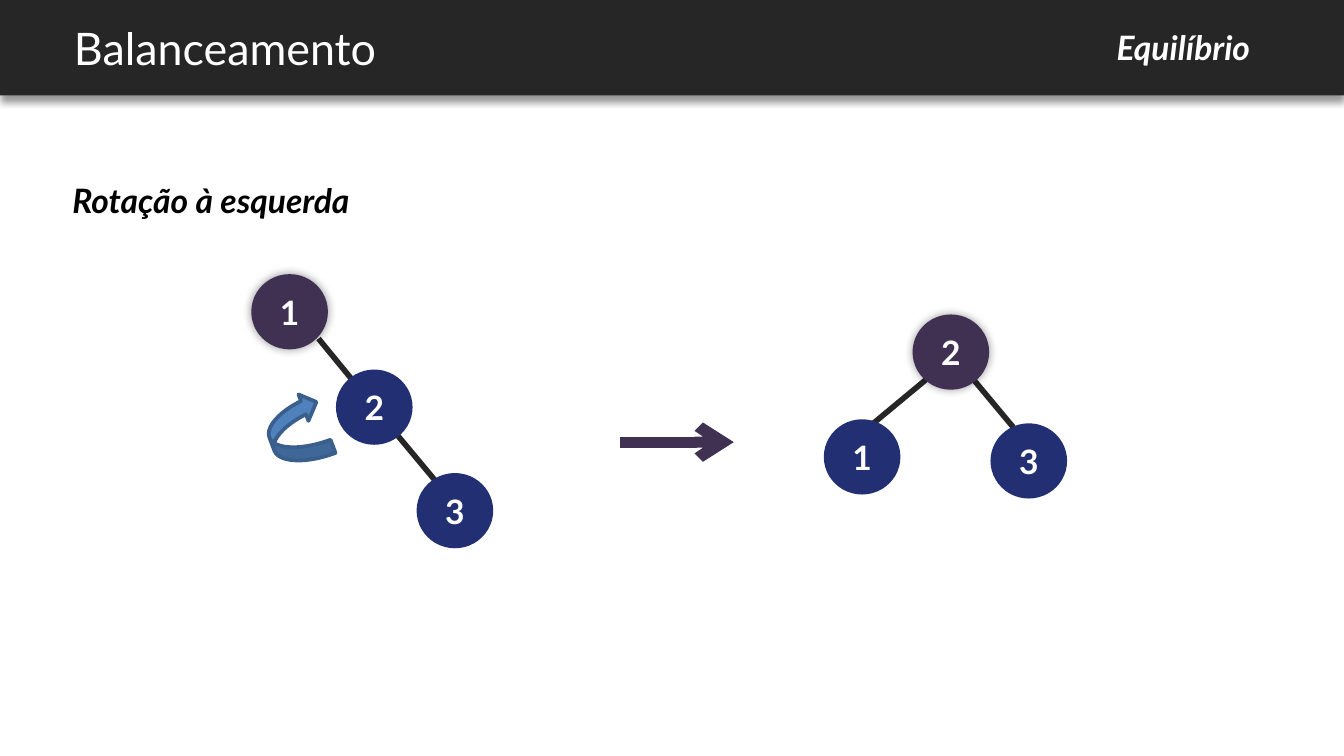
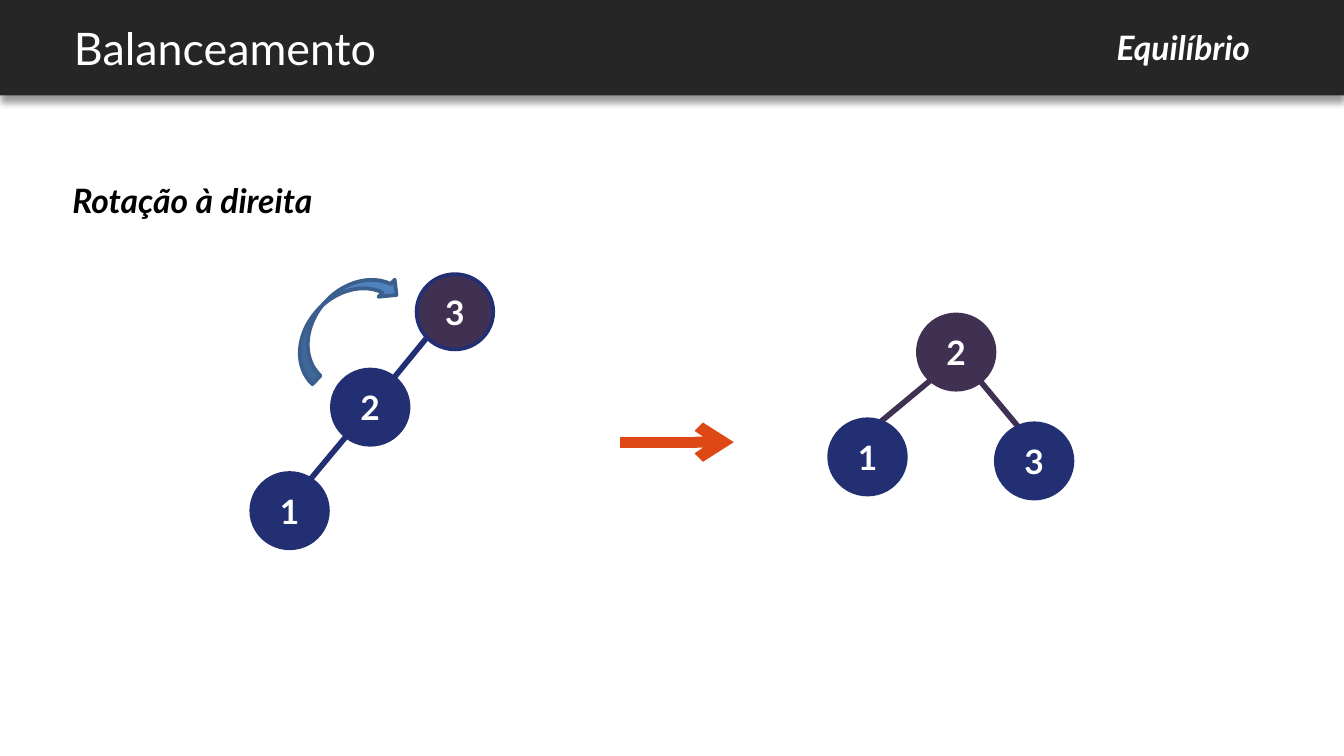
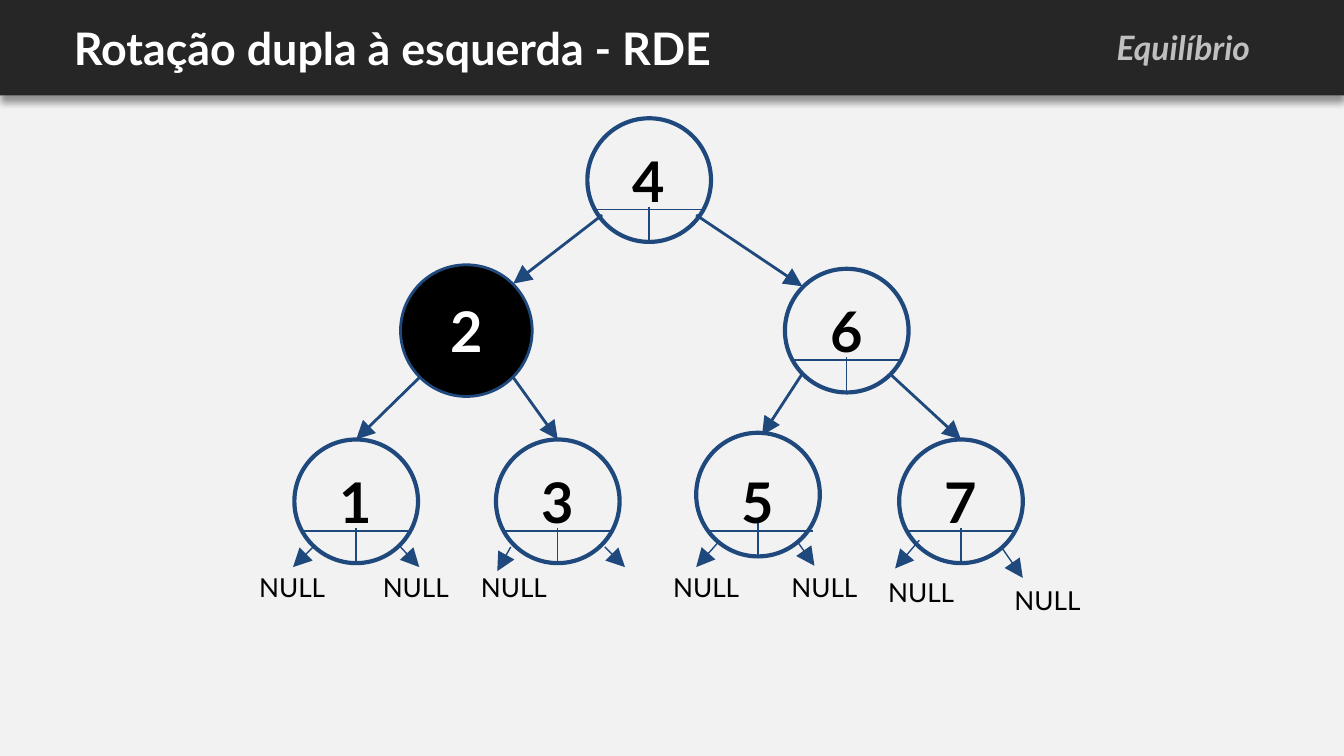
from lxml.etree import SubElement
from pptx import Presentation
from pptx.dml.color import RGBColor
from pptx.enum.shapes import MSO_CONNECTOR, MSO_SHAPE
from pptx.enum.text import MSO_ANCHOR, MSO_AUTO_SIZE, PP_ALIGN
from pptx.oxml.ns import qn
from pptx.util import Inches, Pt

FONT = "Lato"
WHITE, BLACK, GREY, PALE = "FFFFFF", "000000", "BFBFBF", "F2F2F2"
CHARCOAL, PLUM, NAVY, ORANGE = "262626", "403152", "232F73", "DD4814"
SKY, STEEL, INK = "4F81BD", "3A5F8C", "1F497D"

NODE_WIDTH, NODE_HEIGHT = 0.57, 0.56
CHAIN_WIDTH = 1.8
CHAIN_NODES = [(0, 0), (0.63, 0.71), (1.23, 1.48)]
CHAIN_EDGES = [(0.5, 0.48, 1.09, 1.2), (0.78, 0.83, 1.38, 1.55)]
BALANCED_NODES = [("1", 0, 0.78), ("2", 0.66, 0), ("3", 1.24, 0.81)]
BALANCED_EDGES = [(0.26, 0.9, 0.97, 0.31), (0.81, 0.12, 1.41, 0.84)]

SPLIT_NODES = [("4", 3, 0.46, 0), ("6", 4.47, 1.58, 0), ("1", 0.82, 2.85, 0),
               ("3", 2.32, 2.85, 0), ("5", 3.81, 2.85, 0.05), ("7", 5.32, 2.85, 0)]
BRANCHES = [(2.65, 0.72, 1.99, 1.23), (3.35, 0.72, 4.14, 1.25),
            (4.14, 1.9, 3.84, 2.36), (4.79, 1.9, 5.32, 2.39),
            (1.29, 1.93, 0.82, 2.39), (1.99, 1.93, 2.32, 2.39)]
LEAF_ARROWS = [(0.5, 3.19, 0.35, 3.34), (1.15, 3.19, 1.29, 3.34),
               (1.97, 3.19, 1.87, 3.37), (2.67, 3.19, 2.82, 3.34),
               (3.51, 3.16, 3.35, 3.34), (4.11, 3.16, 4.23, 3.33),
               (5.01, 3.14, 4.83, 3.35), (5.62, 3.19, 5.78, 3.42)]
NULL_LABELS = [(0, 3.27), (0.92, 3.27), (1.65, 3.27), (3.08, 3.27),
               (3.96, 3.27), (4.68, 3.31), (5.62, 3.37)]


def colour(value):
    """Turn a hex string into a colour."""
    return RGBColor.from_string(value)


def write(frame, text, size, ink, bold=False, italic=False, align=PP_ALIGN.LEFT):
    """Put one formatted paragraph in a text frame."""
    frame.text = text
    para = frame.paragraphs[0]
    para.alignment = align
    font = para.font
    font.name, font.size, font.bold, font.italic = FONT, Pt(size), bold, italic
    font.color.rgb = colour(ink)


def set_margins(frame, inset):
    """Give a text frame equal margins on all sides."""
    frame.margin_left = frame.margin_right = Inches(inset)
    frame.margin_top = frame.margin_bottom = Inches(inset)


def add_label(shapes, box, text, size, ink, inset=None, **style):
    """Add a wrapping text box."""
    frame = shapes.add_textbox(*map(Inches, box)).text_frame
    frame.word_wrap = True
    if inset is not None:
        set_margins(frame, inset)
    write(frame, text, size, ink, **style)


def add_figure(shapes, kind, box, fill=None, outline=None, weight=2):
    """Add a preset shape with the given fill and outline."""
    figure = shapes.add_shape(kind, *map(Inches, box))
    figure.shadow.inherit = False
    if fill:
        figure.fill.solid()
        figure.fill.fore_color.rgb = colour(fill)
    else:
        figure.fill.background()
    if outline:
        figure.line.color.rgb = colour(outline)
        figure.line.width = Pt(weight)
    else:
        figure.line.fill.background()
    return figure


def add_shadow(figure, blur, distance, angle):
    """Give a shape a soft black outer shadow."""
    effects = figure._element.spPr.find(qn("a:effectLst"))
    shadow = SubElement(effects, qn("a:outerShdw"), blurRad=str(Pt(blur)),
                        dist=str(Pt(distance)), dir=str(angle * 60000),
                        algn="ctr", rotWithShape="0")
    black = SubElement(shadow, qn("a:srgbClr"), val=BLACK)
    SubElement(black, qn("a:alpha"), val="40000")


def add_line(shapes, left, top, ends, ink, weight, head=None, head_size="med"):
    """Draw a straight line between two points of a region."""
    x1, y1, x2, y2 = ends
    line = shapes.add_connector(MSO_CONNECTOR.STRAIGHT, Inches(left + x1), Inches(top + y1),
                                Inches(left + x2), Inches(top + y2))
    line.line.color.rgb = colour(ink)
    line.line.width = Pt(weight)
    if head:
        SubElement(line.line._get_or_add_ln(), qn("a:tailEnd"), type=head,
                   w=head_size, len=head_size)
    SubElement(line._element.spPr, qn("a:effectLst"))


def add_page(deck, title, bold=False, tag_ink=WHITE, ground=WHITE):
    """Add a slide with the dark band, its title and the section tag."""
    page = deck.slides.add_slide(deck.slide_layouts[5])
    page.background.fill.solid()
    page.background.fill.fore_color.rgb = colour(ground)
    band = add_figure(page.shapes, MSO_SHAPE.RECTANGLE, (0, 0, 10, 0.71), CHARCOAL)
    add_shadow(band, 4, 3, 90)
    heading = page.shapes.title
    heading._element.addprevious(band._element)
    heading.left, heading.top, heading.width, heading.height = map(Inches, (0.45, 0, 9.05, 0.71))
    frame = heading.text_frame
    frame.auto_size = MSO_AUTO_SIZE.NONE
    frame.vertical_anchor = MSO_ANCHOR.MIDDLE
    set_margins(frame, 0.1)
    write(frame, title, 24, WHITE, bold=bold)
    add_label(page.shapes, (6.79, 0.15, 2.61, 0.4), "Equilíbrio", 18, tag_ink,
              bold=True, italic=True, align=PP_ALIGN.RIGHT)
    return page


def add_node(shapes, left, top, digit, root, outline):
    """Draw a filled tree node, with a glow on a root without outline."""
    node = add_figure(shapes, MSO_SHAPE.OVAL, (left, top, NODE_WIDTH, NODE_HEIGHT),
                      PLUM if root else NAVY, outline)
    if root and not outline:
        add_shadow(node, 5, 0, 0)
    node.text_frame.vertical_anchor = MSO_ANCHOR.MIDDLE
    write(node.text_frame, digit, 18, WHITE, bold=True, align=PP_ALIGN.CENTER)


def draw_chain(page, left, top, digits, edge_ink, outline=None, mirrored=False):
    """Draw the unbalanced chain, leaning left when mirrored."""
    shapes = page.shapes.add_group_shape().shapes
    for x1, y1, x2, y2 in CHAIN_EDGES:
        if mirrored:
            x1, x2 = CHAIN_WIDTH - x1, CHAIN_WIDTH - x2
        add_line(shapes, left, top, (x1, y1, x2, y2), edge_ink, 3)
    for digit, (x, y) in zip(digits, CHAIN_NODES):
        if mirrored:
            x = CHAIN_WIDTH - NODE_WIDTH - x
        add_node(shapes, left + x, top + y, digit, y == 0, outline)


def draw_balanced(page, left, top, edge_ink, outlined=False):
    """Draw the balanced tree of three nodes."""
    shapes = page.shapes.add_group_shape().shapes
    for ends in BALANCED_EDGES:
        add_line(shapes, left, top, ends, edge_ink, 3)
    for digit, x, y in BALANCED_NODES:
        root = y == 0
        outline = (PLUM if root else NAVY) if outlined else None
        add_node(shapes, left + x, top + y, digit, root, outline)


def draw_step(page, caption, arrow_ink, turn, box, angle):
    """Add the caption, the arrow between the trees and the turning arrow."""
    add_label(page.shapes, (0.44, 1.29, 2.61, 0.4), caption, 18, BLACK, bold=True, italic=True)
    add_line(page.shapes, 4.61, 3.29, (0, 0, 0.85, 0), arrow_ink, 6, "arrow")
    add_figure(page.shapes, turn, box, SKY, STEEL).rotation = angle


def add_digit(shapes, x, y, digit, ink):
    """Write the large digit of a node centred at a point."""
    add_label(shapes, (x - 0.31, y - 0.35, 0.62, 0.53), digit, 30, ink, 0.1,
              bold=True, align=PP_ALIGN.CENTER)


def add_split_node(shapes, x, y, digit, lift):
    """Draw a ring with a digit above two pointer cells."""
    radius, ring_y = 0.46, y - lift
    add_figure(shapes, MSO_SHAPE.OVAL, (x - radius, ring_y - radius, 2 * radius, 2 * radius),
               outline=INK, weight=2.25)
    add_line(shapes, x, ring_y, (0, radius, 0, 0.2), INK, 0.75)
    add_line(shapes, x, y, (-0.39, 0.22, 0.41, 0.22), INK, 0.75)
    add_digit(shapes, x, y, digit, BLACK)


def draw_pointer_tree(page, left, top):
    """Draw the seven-node tree with its pointers and null labels."""
    shapes = page.shapes.add_group_shape().shapes
    x, y, radius = left + 1.64, top + 1.58, 0.49
    add_figure(shapes, MSO_SHAPE.OVAL, (x - radius, y - radius, 2 * radius, 2 * radius),
               BLACK, INK, 1.5)
    add_digit(shapes, x, y, "2", WHITE)
    for digit, x, y, lift in SPLIT_NODES:
        add_split_node(shapes, left + x, top + y, digit, lift)
    for arrows, weight in ((BRANCHES, 1.5), (LEAF_ARROWS, 0.75)):
        for ends in arrows:
            add_line(shapes, left, top, ends, INK, weight, "triangle", "lg")
    for x, y in NULL_LABELS:
        add_label(shapes, (left + x, top + y, 0.73, 0.26), "NULL", 14, BLACK, 0.1)


def main():
    """Build the three slides and save them."""
    deck = Presentation()
    deck.slide_width = Inches(10)
    deck.slide_height = deck.slide_width * 9 // 16

    page = add_page(deck, "Balanceamento")
    draw_chain(page, 1.87, 2.04, "123", CHARCOAL)
    draw_balanced(page, 6.13, 2.34, CHARCOAL)
    draw_step(page, "Rotação à esquerda", PLUM,
              MSO_SHAPE.CURVED_LEFT_ARROW, (2, 2.95, 0.42, 0.51), 159.5)

    page = add_page(deck, "Balanceamento")
    draw_chain(page, 1.87, 2.04, "321", NAVY, NAVY, mirrored=True)
    draw_balanced(page, 6.17, 2.34, PLUM, outlined=True)
    draw_step(page, "Rotação à direita", ORANGE,
              MSO_SHAPE.CURVED_DOWN_ARROW, (2.04, 2.2, 1, 0.35), 313.3)

    page = add_page(deck, "Rotação dupla à esquerda - RDE", True, GREY, PALE)
    draw_pointer_tree(page, 1.83, 0.88)
    deck.save("out.pptx")


if __name__ == "__main__":
    main()
